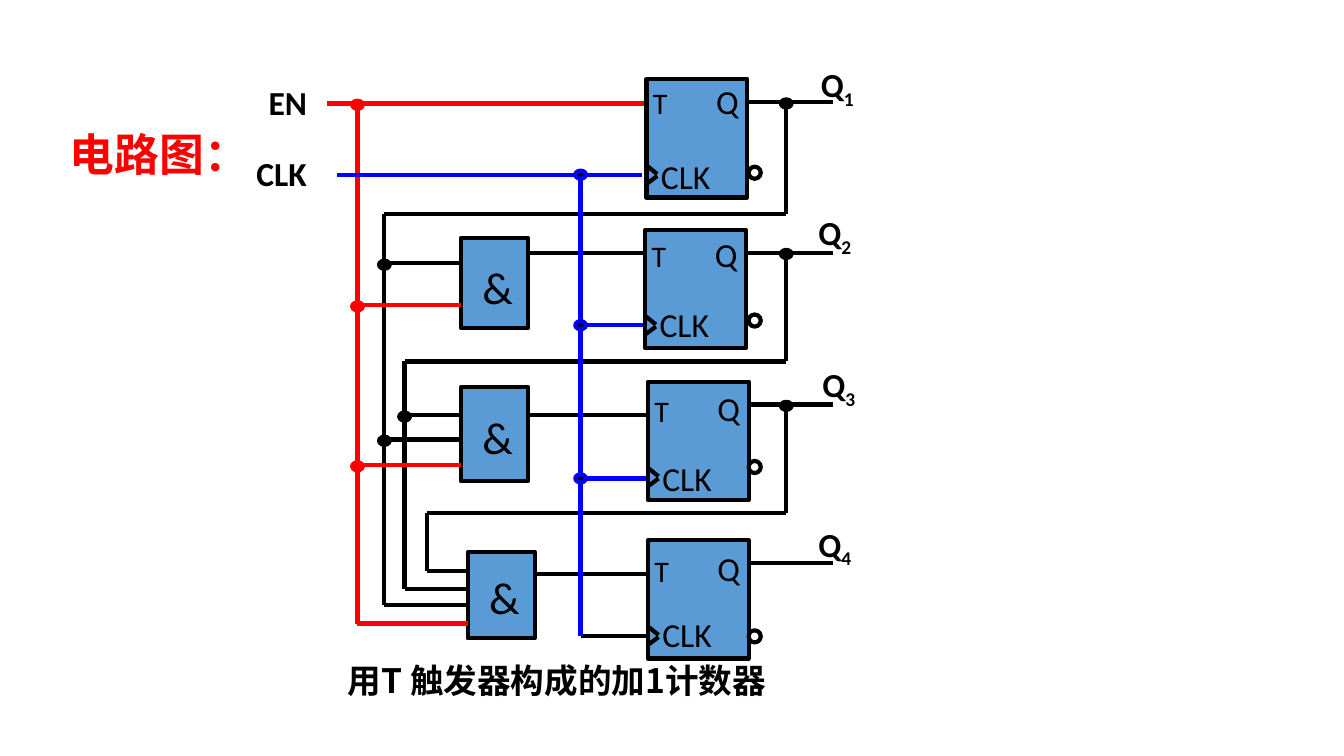
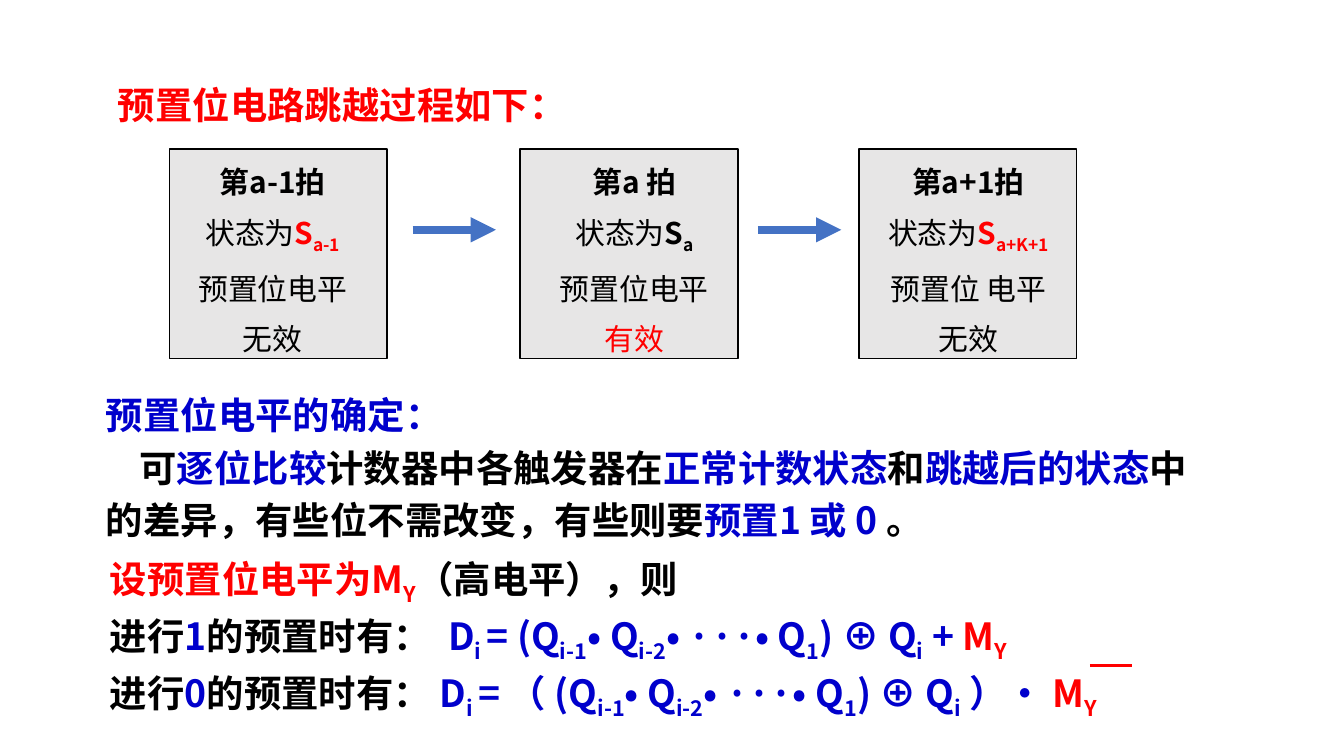
from pptx import Presentation
from pptx.dml.color import RGBColor
from pptx.enum.shapes import MSO_CONNECTOR, MSO_SHAPE
from pptx.enum.text import MSO_AUTO_SIZE, PP_ALIGN
from pptx.oxml.ns import qn
from pptx.util import Inches, Pt
from lxml import etree

STRAIGHT = MSO_CONNECTOR.STRAIGHT
RECT, PROCESS, OVAL = MSO_SHAPE.RECTANGLE, MSO_SHAPE.FLOWCHART_PROCESS, MSO_SHAPE.OVAL
GROW, FIXED = MSO_AUTO_SIZE.SHAPE_TO_FIT_TEXT, MSO_AUTO_SIZE.NONE
LEFT, CENTER = PP_ALIGN.LEFT, PP_ALIGN.CENTER

COLS, ROWS = 100, 56.25
LATIN, CJK = "Calibri", "Noto Sans CJK JP"
BLACK, RED, BLUE, NAVY = "000000", "FF0000", "0000FF", "0000CC"
GATE_FILL, CARD_FILL, ARROW = "5B9BD5", "E7E6E6", "4472C4"
WIRE = 2.25

EN_X, CLK_X, TAP_X = 26.6, 43.2, 58.5
Q_X = [28.6, 30.1, 31.8]
EN_Y, CLK_Y = 7.7, 13
FF_W, FF_H = 7.5, 8.8
GATE_W = 5


def rgb(value):
    return RGBColor.from_string(value)


def grid(n):
    return Inches(n / 10)


def add_line(s, x1, y1, x2, y2, color=BLACK, width=WIRE, arrow=False):
    line = s.shapes.add_connector(STRAIGHT, *map(grid, (x1, y1, x2, y2)))
    line.line.color.rgb = rgb(color)
    line.line.width = Pt(width)
    spPr = line._element.spPr
    if arrow:
        etree.SubElement(spPr.find(qn("a:ln")), qn("a:tailEnd"), type="triangle")
    etree.SubElement(spPr, qn("a:effectLst"))


def add_box(s, kind, x, y, w, h, fill=None, color=BLACK, width=WIRE):
    sp = s.shapes.add_shape(kind, *map(grid, (x, y, w, h)))
    sp.shadow.inherit = False
    if fill:
        sp.fill.solid()
        sp.fill.fore_color.rgb = rgb(fill)
    else:
        sp.fill.background()
    sp.line.color.rgb = rgb(color)
    sp.line.width = Pt(width)


def add_text(s, x, y, w, h, paras, size, font=LATIN, color=BLACK, bold=False,
             wrap=True, fit=GROW, align=LEFT, spacing=None, indents=()):
    tf = s.shapes.add_textbox(*map(grid, (x, y, w, h))).text_frame
    tf.word_wrap = wrap
    tf.auto_size = fit
    for i, runs in enumerate(paras):
        p = tf.paragraphs[0] if i == 0 else tf.add_paragraph()
        p.alignment = align
        if spacing:
            p.line_spacing = spacing
        if i:
            p.space_before = Pt(size / 2)
        if i in indents:
            p._p.get_or_add_pPr().set("indent", str(grid(2.5)))
        p.font.size = Pt(size)
        p.font.name = font
        p.font.bold = bold
        p.font.color.rgb = rgb(color)
        for run in [(runs,)] if isinstance(runs, str) else runs:
            add_run(p, *run)


def add_run(p, text, color=None, sub=False, bold=None):
    r = p.add_run()
    r.text = text
    if color:
        r.font.color.rgb = rgb(color)
    if bold is not None:
        r.font.bold = bold
    if sub:
        r.font._element.set("baseline", "-25000")


def add_dot(s, x, y, fill=BLACK, color=None):
    add_box(s, OVAL, x - 0.4, y - 0.2, 0.8, 0.6, fill, color or fill)


def flip_flop(s, x, y, top, clk, bubble):
    add_box(s, PROCESS, x, y, FF_W, FF_H, GATE_FILL)
    add_line(s, x, y + 6.4, x + 0.8, y + 7.05)
    add_line(s, x + 0.8, y + 7.2, x, y + 7.8)
    add_text(s, x - 0.5, y + top, 8.7, 3.7, ["T"], 16)
    add_text(s, x + 4.2, y + top - 0.3, 3.7, 4, ["Q"], 18, wrap=False)
    add_text(s, x + 0.1, y + clk, 5.7, 4, ["CLK"], 18, wrap=False)
    add_box(s, OVAL, 55.7, y + bubble, 0.9, 0.9)


def and_gate(s, x, y, h, label, out_y, inputs):
    add_box(s, PROCESS, x, y, GATE_W, h, GATE_FILL)
    add_text(s, x + 0.6, y + label, 3.9, 5.1, ["&"], 24)
    add_line(s, x + GATE_W, out_y, 48.1, out_y)
    for bus, in_y in inputs:
        add_line(s, bus, in_y, x, in_y, RED if bus == EN_X else BLACK)


def feedback(s, bus, out_y, back_y, end_y):
    add_line(s, TAP_X, out_y, TAP_X, back_y)
    add_line(s, TAP_X, back_y, bus, back_y)
    add_line(s, bus, back_y, bus, end_y)


def clock_lines(s, taps):
    add_line(s, 25.1, CLK_Y, 47.8, CLK_Y, BLUE)
    add_line(s, CLK_X, 47.3, 48.2, 47.3)
    add_line(s, CLK_X, 47.3, CLK_X, CLK_Y, BLUE)
    for y in taps:
        add_line(s, CLK_X, y, 48.1, y, BLUE)


def circuit(s):
    q1, q2, q3 = Q_X
    outputs = [7.6, 18.8, 30.1, 41.9]
    labels = [(60.1, 4.3), (59.9, 15.3), (60.2, 26.6), (59.9, 38.5)]
    gates = [
        (34.3, 17.7, 6.7, 1.1, 18.8, [(q1, 19.6), (EN_X, 22.7)]),
        (34.3, 28.8, 7, 1.2, 30.9, [(q2, 30.9), (q1, 32.7), (EN_X, 34.6)]),
        (34.8, 41.1, 6.4, 0.8, 42.7,
         [(q3, 42.5), (q2, 43.8), (q1, 45), (EN_X, 46.4)]),
    ]
    stages = [
        (48.1, 5.9, -0.1, 5.2, 6.5),
        (48, 17.1, 0.1, 5, 6.3),
        (48.2, 28.4, 0.3, 5.2, 5.9),
        (48.2, 40.2, 0.4, 5, 6.7),
    ]
    clock_taps = [24.2, 35.6]

    for y in outputs:
        add_line(s, 55.4, y, 62, y)
    add_line(s, 24.3, EN_Y, 47.9, EN_Y, RED)
    add_line(s, EN_X, EN_Y, EN_X, 46.4, RED)
    for path in zip(Q_X, outputs, [15.9, 26.9, 38.2], [45, 43.8, 42.5]):
        feedback(s, *path)
    for gate in gates:
        and_gate(s, *gate)
    clock_lines(s, clock_taps)

    for gate in gates[:2]:
        for bus, y in gate[-1]:
            add_dot(s, bus, y, RED if bus == EN_X else BLACK)
    add_dot(s, EN_X, EN_Y, RED)
    for y in [CLK_Y] + clock_taps:
        add_dot(s, CLK_X, y - 0.1, BLACK, BLUE)
    for y in outputs[:3]:
        add_dot(s, TAP_X, y)
    for stage in stages:
        flip_flop(s, *stage)

    for i, (x, y) in enumerate(labels, 1):
        add_text(s, x, y, 4.6, 4, [[("Q",), (str(i), None, True)]], 18,
                 bold=True, wrap=False)
    add_text(s, 19, 5.6, 4.9, 4, ["EN"], 18, bold=True, wrap=False)
    add_text(s, 18.1, 10.9, 5.8, 4, ["CLK"], 18, bold=True, wrap=False)


def circuit_slide(s):
    circuit(s)
    add_text(s, 4.2, 9.4, 19.2, 5.6, ["电路图："], 24, CJK, RED, True,
             fit=FIXED, spacing=0.9)
    add_text(s, 24.9, 48.6, 40.8, 4, ["用T 触发器构成的加1计数器"], 18, CJK, bold=True)


def beat_card(s, x, text_x, text_w, beat, state, state_color, level, effect, effect_color):
    add_box(s, RECT, x, 11.1, 16.2, 15.6, CARD_FILL, width=0.75)
    paras = [
        [(beat, None, False, True)],
        [("状态为",), ("S", state_color, False, True), (state, state_color, True, True)],
        level,
        [(effect, effect_color)],
    ]
    add_text(s, text_x, 11.7, text_w, 15.8, paras, 16, CJK, align=CENTER)


def preset_formula(prefix, suffix):
    parts = [prefix, "i-1", "• Q", "i-2", "• ···• Q", "1", ") ⊕ Q", "i", suffix]
    return [(part, NAVY, i % 2 == 1) for i, part in enumerate(parts)]


def preset_line(value, lead, prefix, suffix, level):
    return ([("进行",), (value, NAVY), ("的预置时有： ",), (lead, NAVY), ("i ", NAVY, True)]
            + preset_formula(prefix, suffix) + [(level, RED), ("Y", RED, True)])


def preset_slide(s):
    add_text(s, 7.8, 6, 56.3, 6.2, ["预置位电路跳越过程如下："], 20, LATIN, RED, True,
             fit=FIXED, spacing=0.9)
    beat_card(s, 12.6, 12.6, 15.4, "第a-1拍", "a-1", RED, "预置位电平", "无效", BLACK)
    beat_card(s, 38.7, 39.5, 15.4, "第a 拍", "a", BLACK, "预置位电平", "有效", RED)
    beat_card(s, 63.9, 62.4, 19.3, "第a+1拍", "a+K+1", RED, "预置位 电平", "无效", BLACK)
    for x in (30.7, 56.4):
        add_line(s, x, 17.1, x + 6.2, 17.1, ARROW, 4.5, arrow=True)

    rule = [
        [("预置位电平的确定：", NAVY)],
        [("可",), ("逐位比较", NAVY), ("计数器中各触发器在",), ("正常计数状态", NAVY),
         ("和",), ("跳越后的状态", NAVY), ("中",)],
        [("的差异，有些位不需改变，有些则要",), ("预置1 或 0 ", NAVY), ("。",)],
    ]
    equations = [
        [("设预置位电平为M", RED), ("Y", RED, True), ("（高电平），则",)],
        preset_line("1", " D", "= (Q", " + ", "M"),
        preset_line("0", "D", "= （ (Q", " ）•", " M"),
    ]
    add_text(s, 6.9, 29.5, 88.8, 11.9, rule, 20, CJK, bold=True,
             spacing=0.75, indents=(1,))
    add_text(s, 7.2, 41.4, 83.3, 11.9, equations, 20, CJK, bold=True, spacing=0.75)
    add_line(s, 81.1, 49.5, 84.2, 49.5, RED, 1.75)


def main():
    prs = Presentation()
    prs.slide_width, prs.slide_height = grid(COLS), grid(ROWS)
    for build in (circuit_slide, preset_slide):
        build(prs.slides.add_slide(prs.slide_layouts[6]))
    prs.save("out.pptx")


if __name__ == "__main__":
    main()
